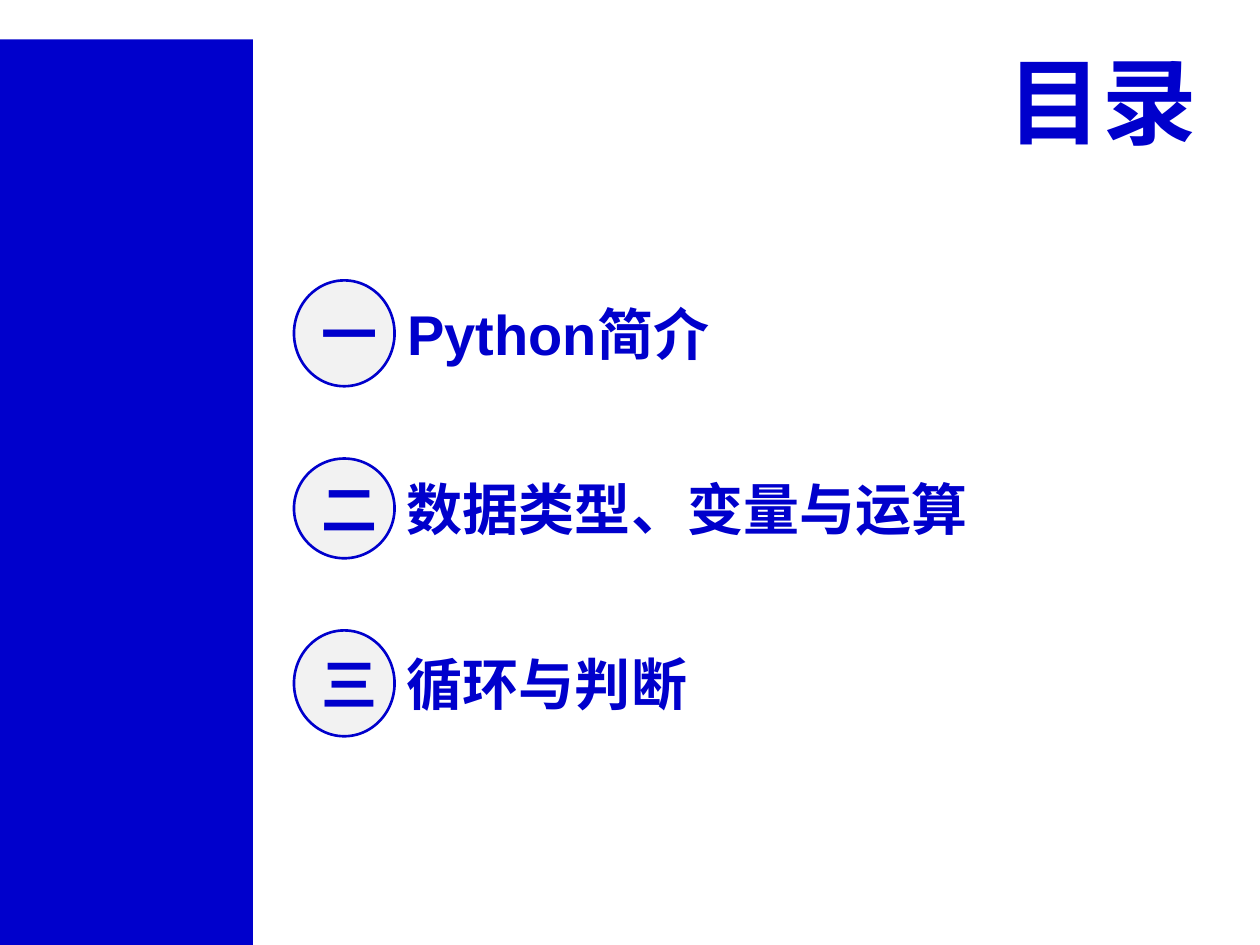
from lxml.etree import SubElement
from pptx import Presentation
from pptx.dml.color import RGBColor
from pptx.enum.shapes import MSO_SHAPE as Shape
from pptx.enum.text import MSO_ANCHOR as Anchor, MSO_AUTO_SIZE as Fit, PP_ALIGN as Align
from pptx.oxml.ns import qn
from pptx.util import Pt

TITLE = "目录"
ITEMS = [
    ("一", "Python简介", 466, 60.5),
    ("二", "数据类型、变量与运算", 446, 57),
    ("三", "循环与判断", 487, 60.5),
]  # number, label, label width, circle height
BLUE, PALE = "0000CC", "F2F2F2"
HAN = "Noto Sans CJK SC"
FIRST, STEP = 190.5, 100  # middle of the first row, distance between rows
LEFT, DISC, LABEL = 168, 57.5, 46  # circle left and width, label height


def paint(fmt, color):
    fmt.solid()
    fmt.fore_color.rgb = RGBColor.from_string(color)


def write(shape, text, size, align, anchor, face="Arial", wrap=True):
    frame = shape.text_frame
    frame.text = text
    frame.word_wrap = wrap
    frame.auto_size = Fit.NONE
    frame.vertical_anchor = anchor
    para = frame.paragraphs[0]
    para.alignment = align
    font = para.font
    font.size, font.bold, font.name = Pt(size), True, face
    paint(font.fill, BLUE)
    # Chinese characters take their own typeface entry
    props = para._p.pPr.find(qn("a:defRPr"))
    SubElement(props, qn("a:ea")).set("typeface", HAN)


def add_shape(shapes, kind, left, top, width, height, color):
    shape = shapes.add_shape(kind, Pt(left), Pt(top), Pt(width), Pt(height))
    shape.shadow.inherit = False
    paint(shape.fill, color)
    return shape


def add_row(slide, mid, num, text, width, height):
    row = slide.shapes.add_group_shape().shapes
    disc = add_shape(row, Shape.OVAL, LEFT, mid - height / 2, DISC, height, PALE)
    paint(disc.line.fill, BLUE)
    disc.line.width = Pt(1.5)
    write(disc, num, 32, Align.CENTER, Anchor.MIDDLE, HAN)
    label = row.add_textbox(Pt(LEFT + DISC), Pt(mid - LABEL / 2), Pt(width), Pt(LABEL))
    write(label, text, 32, Align.LEFT, Anchor.MIDDLE)


def main():
    deck = Presentation()
    deck.slide_width, deck.slide_height = Pt(720), Pt(540)
    slide = deck.slides.add_slide(deck.slide_layouts[5])

    bar = add_shape(slide.shapes, Shape.RECTANGLE, 0, 22.5, 144.5, 517.5, BLUE)
    bar.line.fill.background()

    title = slide.shapes.title
    title.left, title.top, title.width, title.height = Pt(564.5), Pt(21), Pt(126.5), Pt(73)
    write(title, TITLE, 54, Align.RIGHT, Anchor.TOP, wrap=False)

    for i, item in enumerate(ITEMS):
        add_row(slide, FIRST + i * STEP, *item)
    deck.save("out.pptx")


if __name__ == "__main__":
    main()
